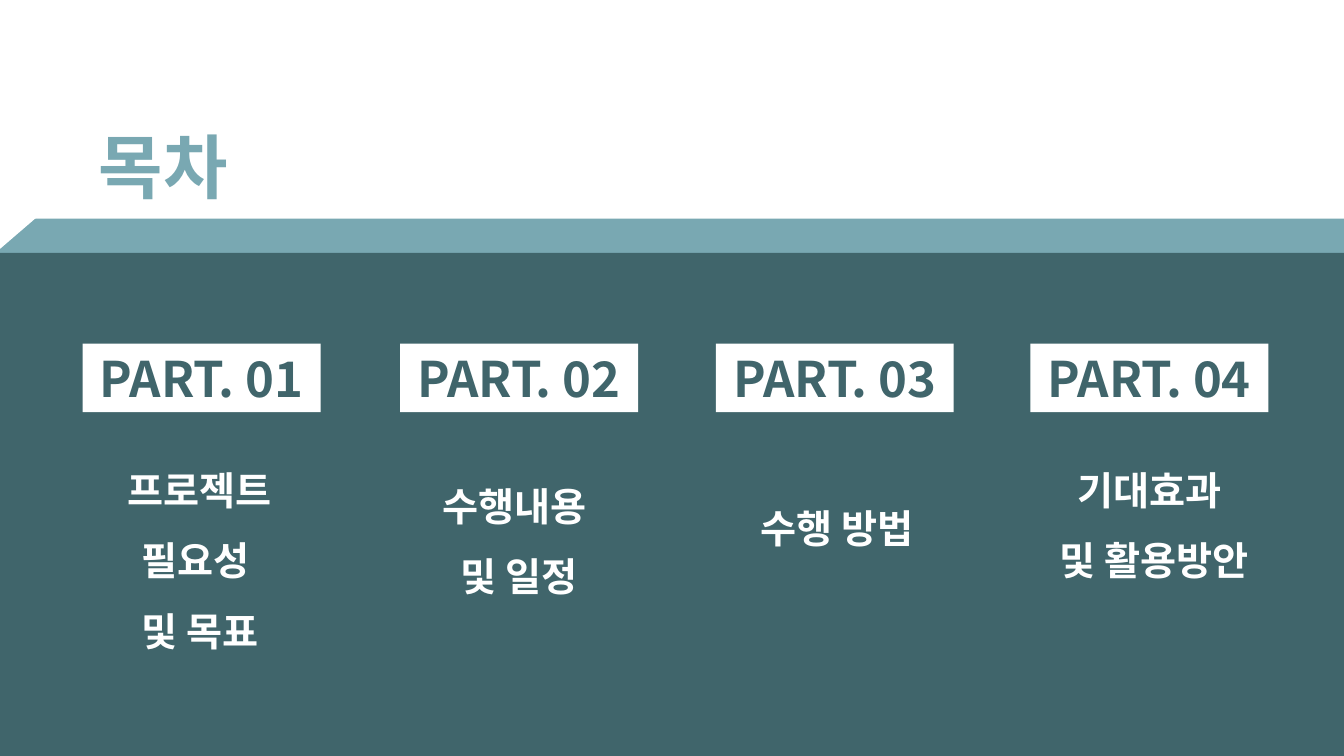
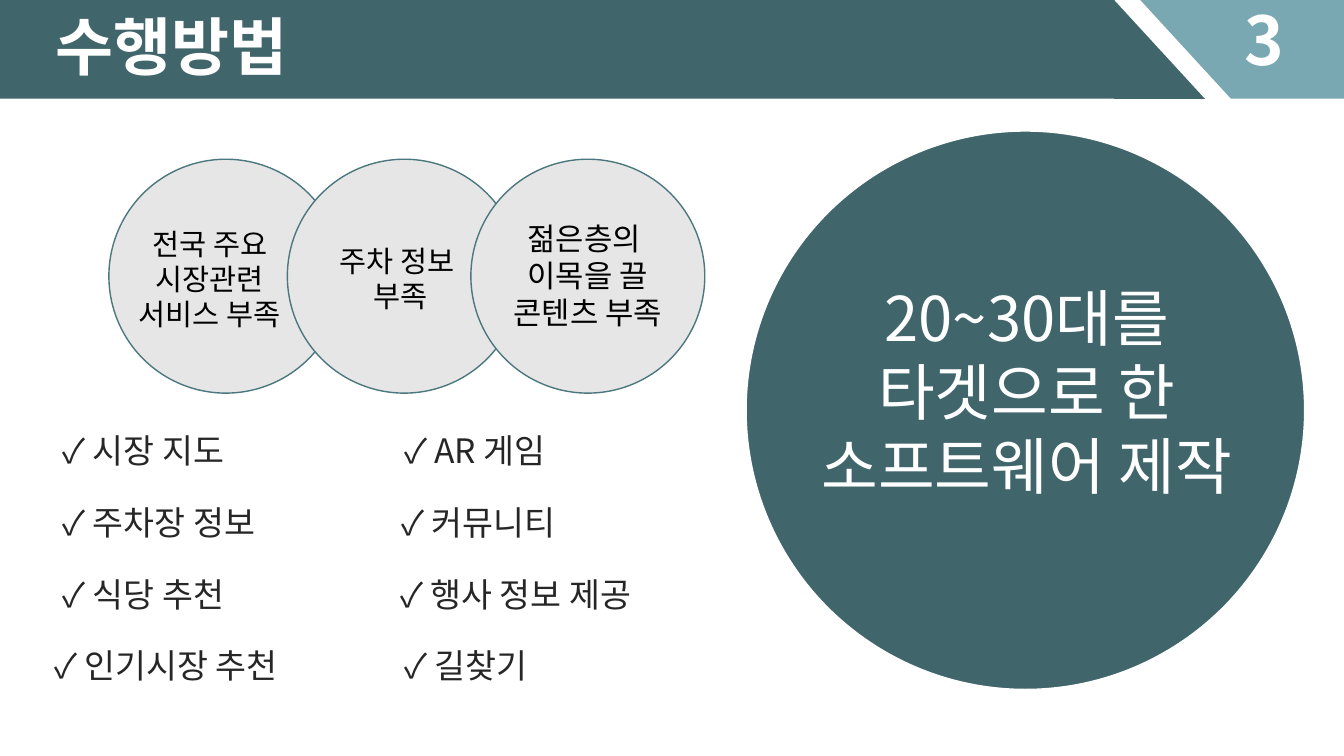
"""Build a contents slide and a method slide in one teal style."""
from lxml.etree import SubElement
from pptx import Presentation
from pptx.dml.color import RGBColor as RGB
from pptx.enum.shapes import MSO_SHAPE as Kind
from pptx.enum.text import MSO_AUTO_SIZE as Fit, PP_ALIGN as Align
from pptx.oxml.ns import qn
from pptx.util import Inches, Pt

DARK = RGB(0x40, 0x65, 0x6B)
LIGHT = RGB(0x79, 0xA8, 0xB2)
EDGE = RGB(0x4B, 0x77, 0x7E)
GREY = RGB(0xE7, 0xE6, 0xE6)
INK = RGB(0x26, 0x26, 0x26)
WHITE = RGB(0xFF, 0xFF, 0xFF)
BLACK = RGB(0, 0, 0)
FONT = "Noto Sans CJK KR"


def draw(slide, kind, at, fill, line=None, flip=""):
    shape = slide.shapes.add_shape(kind, *map(Inches, at))
    shape.shadow.inherit = False
    shape.fill.solid()
    shape.fill.fore_color.rgb = fill
    if line is None:
        shape.line.fill.background()
    else:
        shape.line.color.rgb = line
        shape.line.width = Pt(1)
    if kind == Kind.ISOSCELES_TRIANGLE:
        shape.adjustments[0] = 0
    for axis in flip:
        shape._element.spPr.find(qn("a:xfrm")).set("flip" + axis, "1")
    return shape


def write(slide, at, lines, size, color, bold=False, align=Align.CENTER, space=None, shape=None):
    shape = shape or slide.shapes.add_textbox(*map(Inches, at))
    frame = shape.text_frame
    frame.word_wrap = True
    frame.auto_size = Fit.SHAPE_TO_FIT_TEXT
    for i, line in enumerate(lines):
        para = frame.add_paragraph() if i else frame.paragraphs[0]
        para.alignment = align
        if space:
            para.line_spacing = space
        run = para.add_run()
        run.text = line
        font = run.font
        font.name, font.size, font.bold = FONT, Pt(size), bold
        font.color.rgb = color
        SubElement(font._element, qn("a:ea")).set("typeface", FONT)


deck = Presentation()
deck.slide_width, deck.slide_height = Inches(13.33), Inches(7.5)
blank = deck.slide_layouts[6]

toc = deck.slides.add_slide(blank)
draw(toc, Kind.RECTANGLE, (0, 2.17, 13.33, 5.33), LIGHT)
draw(toc, Kind.RECTANGLE, (0, 2.51, 13.33, 4.99), DARK)
draw(toc, Kind.ISOSCELES_TRIANGLE, (0, 2.16, 0.36, 0.31), WHITE, flip="V")
write(toc, (0.56, 1.18, 2.12, 0.93), ["목차"], 50, LIGHT, True)

parts = [
    (0.82, (0.8, 4.34, 2.36, 2.15), 1.5, ["프로젝트", "필요성 ", "및 목표"]),
    (3.97, (3.97, 4.5, 2.36, 1.44), 1.5, ["수행내용 ", "및 일정"]),
    (7.1, (7.12, 4.49, 2.36, 1.04), 2.0, ["수행 방법"]),
    (10.22, (10.27, 4.34, 2.36, 1.44), 1.5, ["기대효과 ", "및 활용방안"]),
]
for num, (left, at, space, lines) in enumerate(parts, 1):
    tag_at = (left, 3.41, 2.36, 0.68)
    tag = draw(toc, Kind.RECTANGLE, tag_at, WHITE)
    write(toc, tag_at, [f"PART. {num:02}"], 35, DARK, True, shape=tag)
    write(toc, at, lines, 28, WHITE, True, space=space)

method = deck.slides.add_slide(blank)
draw(method, Kind.ISOSCELES_TRIANGLE, (11.05, 0, 0.9, 0.98), DARK)
draw(method, Kind.RECTANGLE, (0, 0, 11.05, 0.98), DARK)
draw(method, Kind.RECTANGLE, (12.21, 0, 1.12, 0.98), LIGHT)
draw(method, Kind.ISOSCELES_TRIANGLE, (11.31, 0, 0.9, 0.98), LIGHT, flip="HV")
write(method, (12.24, -0.07, 0.57, 0.91), ["3"], 48, WHITE, True)
write(method, (0.31, 0.03, 2.82, 0.84), [" 수행방법"], 45, WHITE, True, Align.LEFT)

needs = [
    (1.08, (1.19, 2.19, 1.78, 1.15), 21, ["전국 주요", " 시장관련 ", "서비스 부족"]),
    (2.85, (2.97, 2.36, 2, 0.8), 21, ["주차 정보 ", "부족"]),
    (4.67, (4.86, 2.13, 1.94, 1.21), 22, ["젊은층의 ", "이목을 끌 콘텐츠 부족"]),
]
for left, at, size, lines in needs:
    draw(method, Kind.OVAL, (left, 1.58, 2.32, 2.32), GREY, EDGE)
    write(method, at, lines, size, BLACK)

draw(method, Kind.OVAL, (7.4, 1.3, 5.54, 5.54), DARK, WHITE)
goal = ["20~30대를", "타겟으로 한", "소프트웨어 제작"]
write(method, (7.56, 2.73, 5.25, 2.29), goal, 44, WHITE)

checks = [
    [(0.52, "시장 지도"), (0.52, "주차장 정보"), (0.52, "식당 추천"), (0.44, "인기시장 추천")],
    [(3.91, "AR 게임"), (3.88, "커뮤니티"), (3.87, "행사 정보 제공"), (3.91, "길찾기")],
]
for column in checks:
    for row, (left, item) in enumerate(column):
        at = (left, 4.22 + 0.71 * row, 2.97, 0.5)
        write(method, at, [f"✓ {item}"], 24, INK, align=Align.LEFT)

deck.save("out.pptx")
